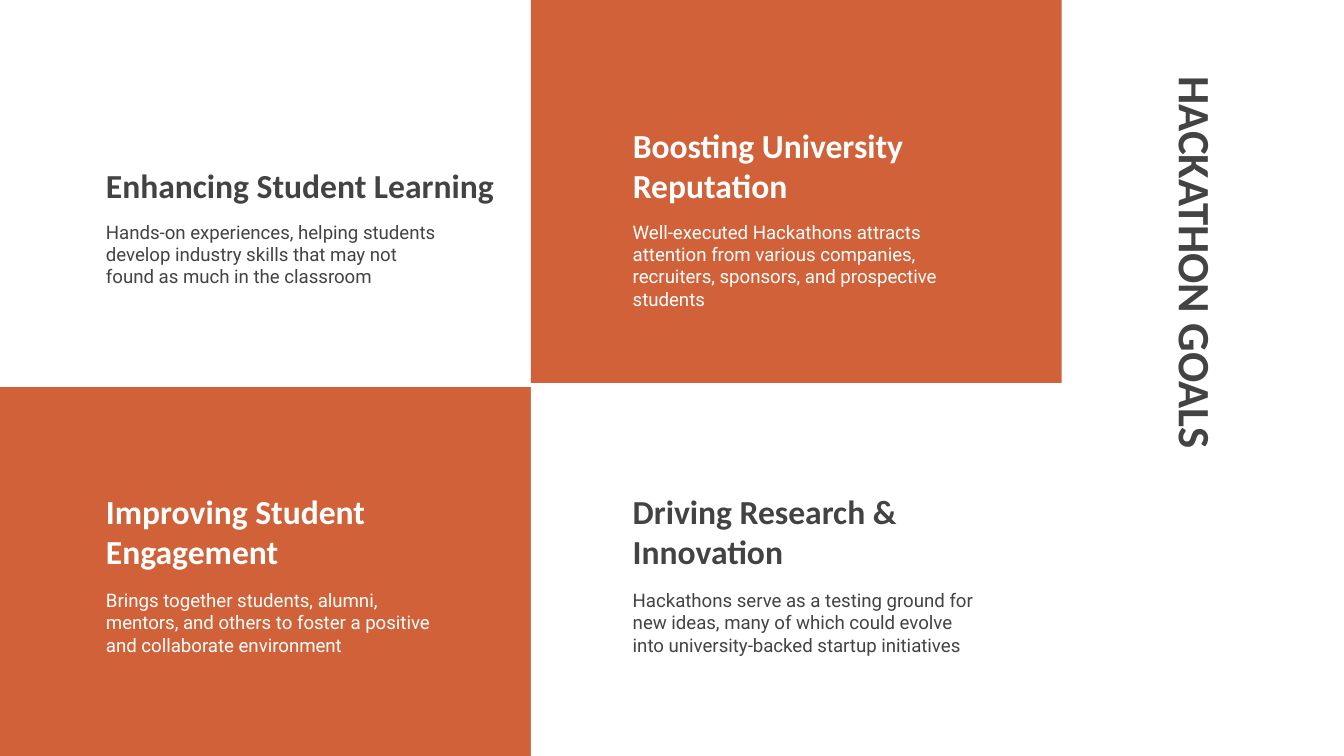
"""Build the hackathon goals slide: a two by two board of goals beside a vertical title."""
from pptx import Presentation
from pptx.dml.color import RGBColor
from pptx.enum.shapes import MSO_SHAPE
from pptx.enum.text import MSO_ANCHOR, PP_ALIGN
from pptx.util import Inches, Pt

ORANGE, WHITE, GRAY = "D16138", "FFFFFF", "434343"
WIDTH = Inches(10)
COLUMN, ROW = 3.95, 2.88
HEADING = {"name": "Calibri", "size": Pt(18), "bold": True}
TITLE = {**HEADING, "size": Pt(24)}
BODY = {"name": "Roboto", "size": Pt(10), "bold": False}
FRAME = {"word_wrap": True, "margin_left": Inches(0.1), "margin_right": Inches(0.1),
         "margin_top": Inches(0.1), "margin_bottom": Inches(0.1)}


def paint(fill, color):
    fill.solid()
    fill.fore_color.rgb = RGBColor.from_string(color)


def write(words, place, looks, color, anchor):
    box = slide.shapes.add_textbox(*map(Inches, place))
    frame = box.text_frame
    for name, value in {**FRAME, "vertical_anchor": anchor}.items():
        setattr(frame, name, value)
    line = frame.paragraphs[0]
    line.alignment = PP_ALIGN.LEFT
    run = line.add_run()
    run.text = words
    for name, value in looks.items():
        setattr(run.font, name, value)
    paint(run.font.fill, color)
    return box


deck = Presentation()
deck.slide_width, deck.slide_height = WIDTH, WIDTH * 9 // 16
slide = deck.slides.add_slide(deck.slide_layouts[6])
paint(slide.background.fill, WHITE)

title = write("HACKATHON GOALS", (7, 2.11, 3.81, 0.53), TITLE, GRAY, MSO_ANCHOR.MIDDLE)
title.rotation = 90

panels = [(1, -0.03, ROW, ORANGE), (0, ROW, 2.75, ORANGE), (1, ROW, 2.75, WHITE)]
for column, top, height, color in panels:
    panel = slide.shapes.add_shape(
        MSO_SHAPE.RECTANGLE, *map(Inches, (column * COLUMN, top, COLUMN, height)))
    panel.shadow.inherit = False
    paint(panel.fill, color)
    panel.line.fill.background()

lefts, heading_tops, body_tops = (0.69, 4.61), (0.92, 3.64), (1.54, 4.28)
goals = [
    (0, 0, GRAY, "Enhancing Student Learning", 3.14,
     "Hands-on experiences, helping students develop industry skills that may not "
     "found as much in the classroom", 2.71, 0.59),
    (1, 0, WHITE, "Boosting University Reputation", 2.95,
     "Well-executed Hackathons attracts attention from various companies, "
     "recruiters, sponsors, and prospective students", 2.83, 0.82),
    (0, 1, WHITE, "Improving Student Engagement", 3.14,
     "Brings together students, alumni, mentors, and others to foster a positive "
     "and collaborate environment", 2.71, 1.03),
    (1, 1, GRAY, "Driving Research & Innovation", 2.74,
     "Hackathons serve as a testing ground for new ideas, many of which could "
     "evolve into university-backed startup initiatives", 2.83, 0.82),
]
for column, row, color, goal, goal_width, benefit, benefit_width, benefit_height in goals:
    left = lefts[column]
    write(goal, (left, heading_tops[row], goal_width, 0.71), HEADING, color, MSO_ANCHOR.BOTTOM)
    write(benefit, (left, body_tops[row], benefit_width, benefit_height), BODY, color,
          MSO_ANCHOR.TOP)

deck.save("out.pptx")
